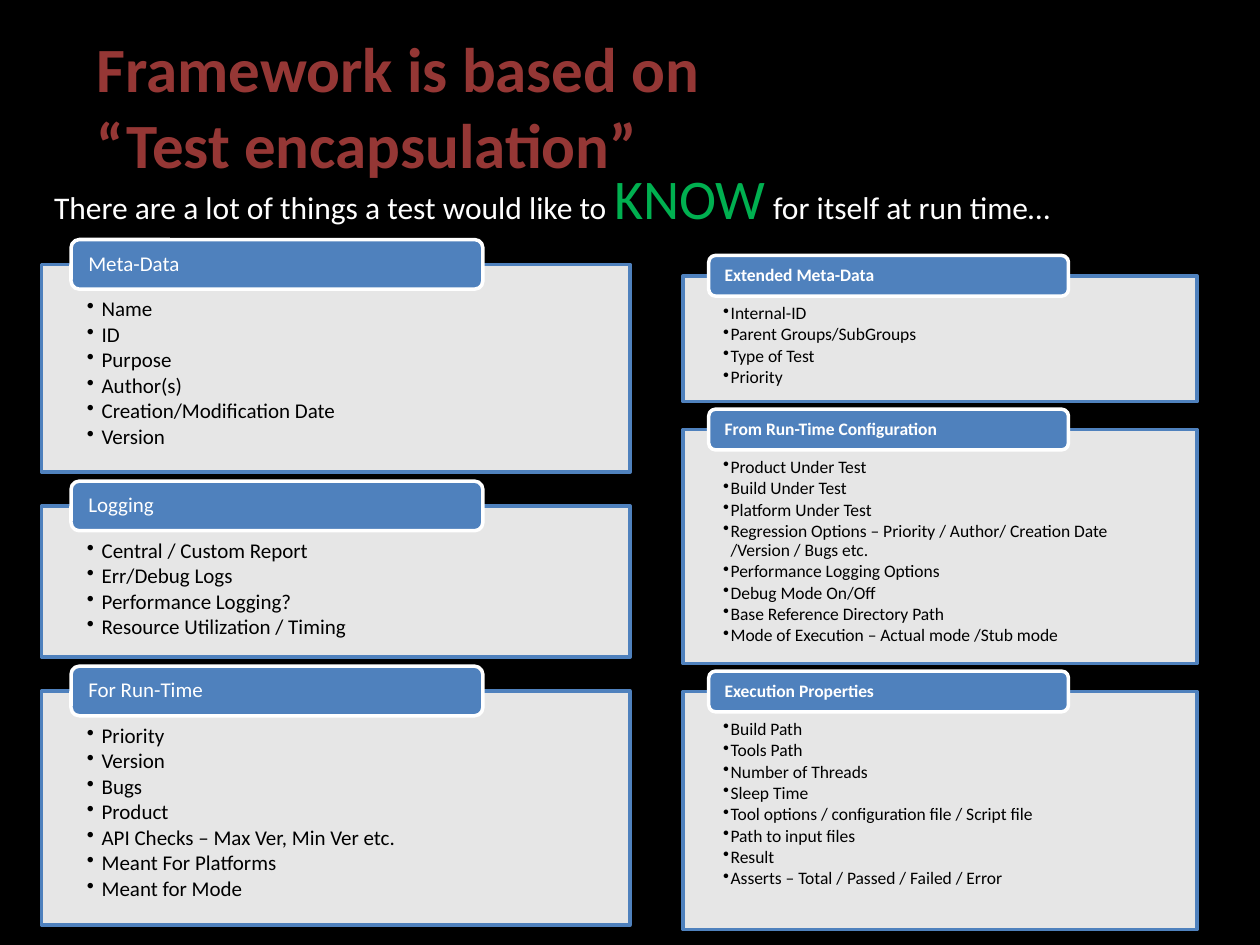
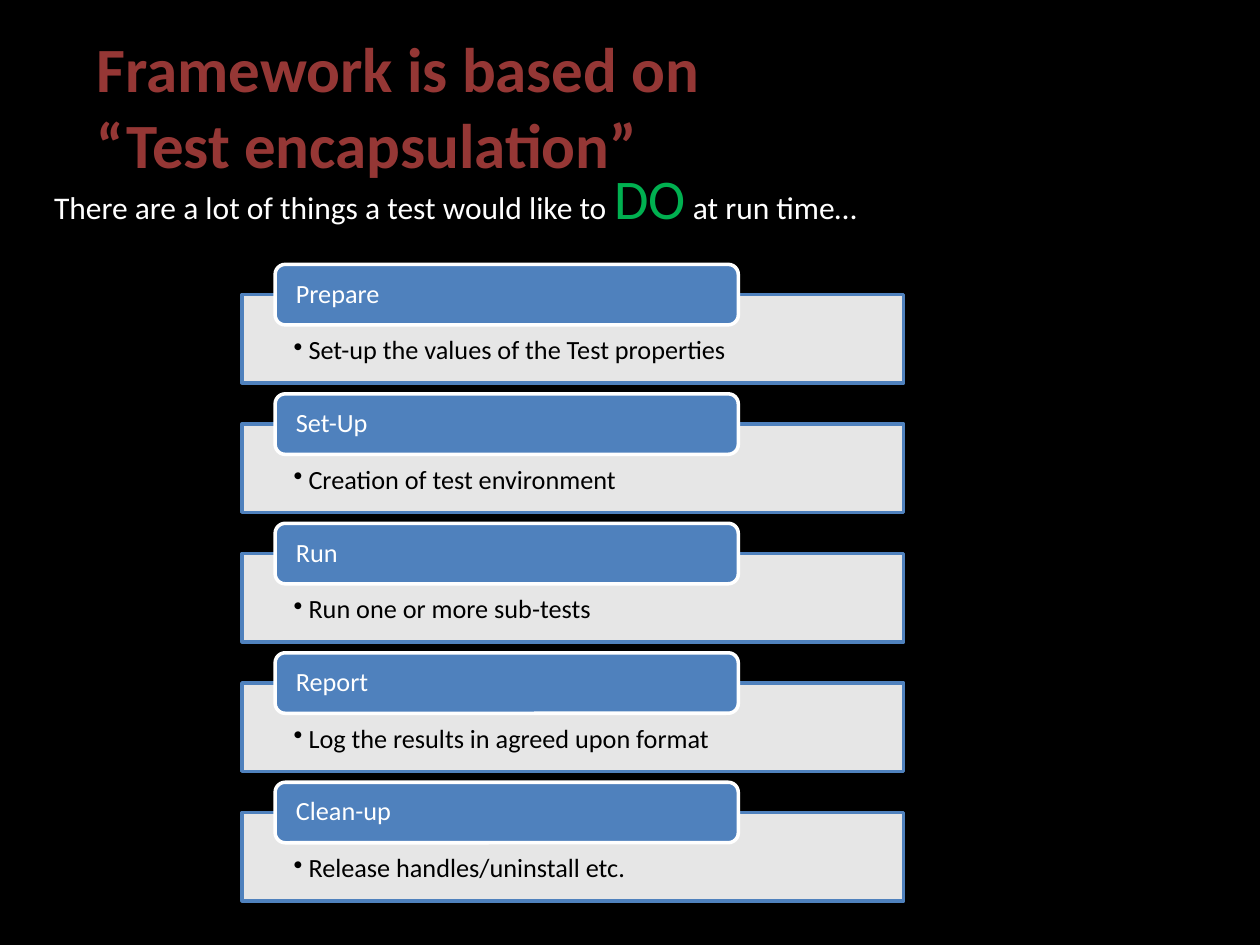
from pptx import Presentation
from pptx import util as u
from pptx.dml.color import RGBColor
from pptx.enum import shapes, text
from pptx.oxml.ns import qn
from lxml import etree

BLACK = RGBColor(0, 0, 0)
WHITE = RGBColor(255, 255, 255)
BLUE = RGBColor(0x4F, 0x81, 0xBD)
RED = RGBColor(0x95, 0x37, 0x35)
GREEN = RGBColor(0, 0xB0, 0x50)
FONT = "Calibri"

HEADING = "Framework is based on\n\u201cTest encapsulation\u201d"
HEADING_BOX = (1.7, 0.43, 22.43, 3.38)
LEAD_BOX = (0.84, 3.18, 23.5, 1.63)
LEAD_START = "There are a lot of things a test would like to "

TEST_DATA = [
    ("Meta-Data", 4.19, ["Name", "ID", "Purpose", "Author(s)",
                         "Creation/Modification Date", "Version"]),
    ("Logging", 3.05, ["Central / Custom Report", "Err/Debug Logs",
                       "Performance Logging?", "Resource Utilization / Timing"]),
    ("For Run-Time", 4.72, ["Priority", "Version", "Bugs", "Product",
                            "API Checks \u2013 Max Ver, Min Ver etc.",
                            "Meant For Platforms", "Meant for Mode"]),
]
RUN_DATA = [
    ("Extended Meta-Data", 2.54, ["Internal-ID", "Parent Groups/SubGroups",
                                  "Type of Test", "Priority"]),
    ("From Run-Time Configuration", 4.72, [
        "Product Under Test", "Build Under Test", "Platform Under Test",
        "Regression Options \u2013 Priority / Author/ Creation Date /Version / Bugs etc.",
        "Performance Logging Options", "Debug Mode On/Off",
        "Base Reference Directory Path",
        "Mode of Execution \u2013 Actual mode /Stub mode"]),
    ("Execution Properties", 4.8, [
        "Build Path", "Tools Path", "Number of Threads", "Sleep Time",
        "Tool options / configuration file / Script file",
        "Path to input files", "Result",
        "Asserts \u2013 Total / Passed / Failed / Error"]),
]
STEPS = [
    ("Prepare", 1.78, ["Set-up the values of the Test properties"]),
    ("Set-Up", 1.78, ["Creation of test environment"]),
    ("Run", 1.78, ["Run one or more sub-tests"]),
    ("Report", 1.78, ["Log the results in agreed upon format"]),
    ("Clean-up", 1.78, ["Release handles/uninstall etc."]),
]

LEFT_STACK = dict(left=0.84, top=5.33, width=11.86, gap=0.68, tab=1, size=12, bold=False,
                  insets=(0.91, 0.69, 0.91, 0.23), tab_inset=0.3, hang=0.3)
RIGHT_STACK = dict(left=13.77, top=5.56, width=10.36, gap=0.56, tab=0.82, size=10, bold=True,
                   insets=(0.81, 0.58, 0.81, 0.2), tab_inset=0.28, hang=0.15)
STEP_STACK = dict(left=4.88, top=5.94, width=13.34, gap=0.83, tab=1.22, size=15, bold=False,
                  insets=(1.04, 0.86, 1.04, 0.3), tab_inset=0.36, hang=0.3)

SLIDES = [
    ("KNOW", " for itself at run time\u2026", [(TEST_DATA, LEFT_STACK), (RUN_DATA, RIGHT_STACK)]),
    ("DO", " at run time\u2026", [(STEPS, STEP_STACK)]),
]


def assign(target, **values):
    for name, value in values.items():
        setattr(target, name, value)


def style_font(font, size, color, bold=False):
    assign(font, name=FONT, size=u.Pt(size), bold=bold)
    font.color.rgb = color


def set_frame(frame, insets, anchor):
    left, top, right, bottom = map(u.Cm, insets)
    assign(frame, word_wrap=True, auto_size=text.MSO_AUTO_SIZE.NONE, vertical_anchor=anchor,
           margin_left=left, margin_top=top, margin_right=right, margin_bottom=bottom)


def add_heading(slide):
    title = slide.shapes.title
    assign(title, **dict(zip(("left", "top", "width", "height"), map(u.Cm, HEADING_BOX))))
    title.text_frame.text = HEADING
    set_frame(title.text_frame, (0.25, 0.13, 0.13, 0.13), text.MSO_ANCHOR.MIDDLE)
    for line in title.text_frame.paragraphs:
        line.alignment = text.PP_ALIGN.LEFT
        style_font(line.runs[0].font, 36, RED, True)


def add_lead(slide, verb, ending):
    frame = slide.shapes.add_textbox(*map(u.Cm, LEAD_BOX)).text_frame
    assign(frame, word_wrap=True, auto_size=text.MSO_AUTO_SIZE.SHAPE_TO_FIT_TEXT)
    for words, size, color in ((LEAD_START, 18, WHITE), (verb, 32, GREEN), (ending, 18, WHITE)):
        run = frame.paragraphs[0].add_run()
        run.text = words
        style_font(run.font, size, color)


def add_block(slide, preset, box, fill, line, lines, size, color, bold=False):
    block = slide.shapes.add_shape(preset, *map(u.Cm, box))
    block.shadow.inherit = False
    block.fill.solid()
    block.fill.fore_color.rgb = fill
    block.line.color.rgb = line
    block.line.width = u.Pt(2)
    block.text_frame.text = "\n".join(lines)
    for paragraph in block.text_frame.paragraphs:
        assign(paragraph, alignment=text.PP_ALIGN.LEFT, line_spacing=0.9)
        style_font(paragraph.runs[0].font, size, color, bold)
    return block


def add_bullet(paragraph, hang, size):
    assign(paragraph, level=1, space_after=u.Pt(0.135 * size))
    properties = paragraph._p.get_or_add_pPr()
    properties.set("marL", str(u.Cm(hang)))
    properties.set("indent", str(-u.Cm(hang)))
    etree.SubElement(properties, qn("a:buChar")).set("char", "\u2022")


def add_stack(slide, groups, left, top, width, gap, tab, size, bold, insets, tab_inset, hang):
    for label, height, items in groups:
        panel = add_block(slide, shapes.MSO_SHAPE.RECTANGLE, (left, top, width, height),
                          WHITE, BLUE, items, size, BLACK)
        solid = panel._element.spPr.find(qn("a:solidFill"))
        etree.SubElement(solid[0], qn("a:alpha")).set("val", "90000")
        set_frame(panel.text_frame, insets, text.MSO_ANCHOR.TOP)
        for paragraph in panel.text_frame.paragraphs:
            add_bullet(paragraph, hang, size)

        tab_box = (left + 0.05 * width, top - tab / 2, 0.7 * width, tab)
        header = add_block(slide, shapes.MSO_SHAPE.ROUNDED_RECTANGLE, tab_box,
                           BLUE, WHITE, [label], size, WHITE, bold)
        set_frame(header.text_frame, (tab_inset, 0, tab_inset, 0), text.MSO_ANCHOR.MIDDLE)
        top += height + gap


deck = Presentation()
assign(deck, slide_width=u.Cm(25.4), slide_height=u.Cm(19.05))
backdrop = deck.slide_master.background.fill
backdrop.solid()
backdrop.fore_color.rgb = BLACK
for verb, ending, stacks in SLIDES:
    slide = deck.slides.add_slide(deck.slide_layouts.get_by_name("Title Only"))
    add_heading(slide)
    for groups, layout in stacks:
        add_stack(slide, groups, **layout)
    add_lead(slide, verb, ending)
deck.save("out.pptx")
